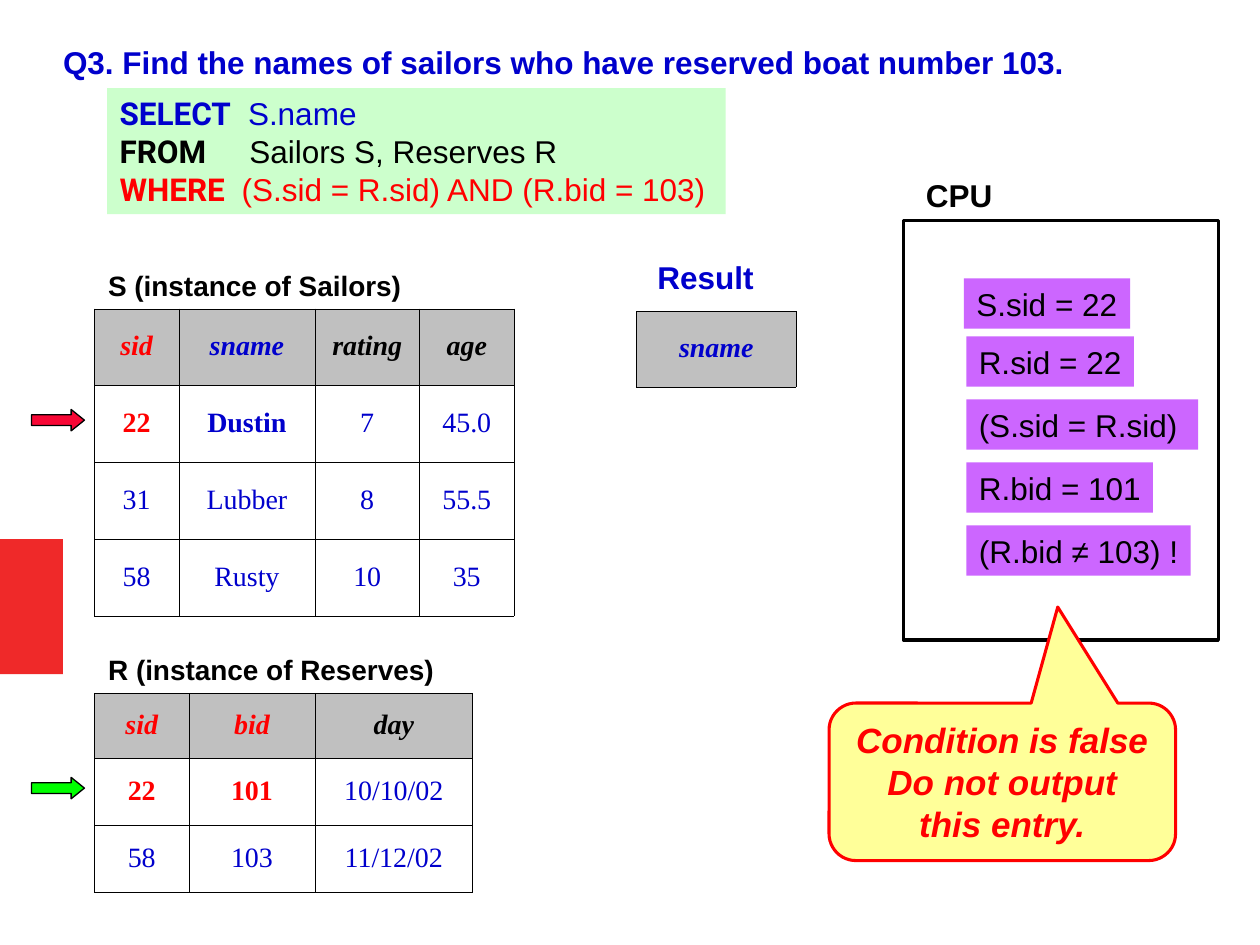
"""Build the slide that traces query Q3 over the Sailors and Reserves tables."""
from dataclasses import dataclass

from pptx import Presentation
from pptx.dml.color import RGBColor
from pptx.enum import shapes, text
from pptx.oxml import parse_xml
from pptx.oxml.ns import nsdecls
from pptx import util as u


@dataclass(frozen=True)
class Theme:
    black: str = "000000"
    blue: str = "0000CC"
    red: str = "FF0000"
    accent: str = "EF2929"
    query: str = "CCFFCC"
    header: str = "C0C0C0"
    step: str = "CC66FF"
    sailor_arrow: str = "F70735"
    reserve_arrow: str = "00FF00"
    note: str = "FFFF99"
    sans: str = "Arial"
    serif: str = "Times New Roman"
    keyword: str = "Roboto"
    small: int = 16
    normal: int = 18
    large: int = 20
    border: float = 0.23


theme = Theme()
PX = u.Inches(1) // 100
SHAPE = shapes.MSO_SHAPE
LEFT, CENTER = text.PP_ALIGN.LEFT, text.PP_ALIGN.CENTER


def write(para, words, size=theme.normal, color=theme.black, font=theme.sans,
          bold=False, italic=False, align=LEFT):
    para.alignment = align
    span = para.add_run()
    span.text = words
    span.font.size = u.Pt(size)
    span.font.name = font
    span.font.bold = bold
    span.font.italic = italic
    span.font.color.rgb = RGBColor.from_string(color)


def draw(kind, area, fill=None, line=None, weight=1):
    box = page.shapes.add_shape(kind, *(v * PX for v in area))
    box.shadow.inherit = False
    if fill:
        box.fill.solid()
        box.fill.fore_color.rgb = RGBColor.from_string(fill)
    else:
        box.fill.background()
    if line:
        box.line.color.rgb = RGBColor.from_string(line)
        box.line.width = u.Pt(weight)
    else:
        box.line.fill.background()
    box.text_frame.word_wrap = True
    return box


deck = Presentation()
deck.slide_width, deck.slide_height = 1000 * PX, 750 * PX
page = deck.slides.add_slide(deck.slide_layouts[5])

draw(SHAPE.RECTANGLE, (0, 428, 50, 107), theme.accent)

title = page.shapes.title
title.left, title.top, title.width, title.height = (v * PX for v in (40, 29, 834, 40))
title.text_frame.word_wrap = True
title.text_frame.auto_size = text.MSO_AUTO_SIZE.NONE
write(title.text_frame.paragraphs[0],
      "Q3. Find the names of sailors who have reserved boat number 103.",
      color=theme.blue, bold=True)

labels = [
    ("S (instance of Sailors)", (76, 208, 273, 37), theme.small, theme.black),
    ("R (instance of Reserves)", (76, 513, 298, 37), theme.small, theme.black),
    ("Result", (512, 200, 106, 40), theme.normal, theme.blue),
    ("CPU", (725, 135, 108, 40), theme.normal, theme.black),
]
for words, area, size, color in labels:
    box = page.shapes.add_textbox(*(v * PX for v in area))
    box.text_frame.word_wrap = True
    write(box.text_frame.paragraphs[0], words, size=size, color=color, bold=True)

query = draw(SHAPE.RECTANGLE, (85, 70, 491, 100), theme.query)
query.text_frame.margin_right = 0
clauses = [
    ("SELECT", "S.name", theme.blue, 102),
    ("FROM", "Sailors S, Reserves R", theme.black, 103),
    ("WHERE", "(S.sid = R.sid) AND (R.bid = 103)", theme.red, 97),
]
for index, (keyword, clause, color, stop) in enumerate(clauses):
    frame = query.text_frame
    para = frame.add_paragraph() if index else frame.paragraphs[0]
    write(para, keyword, color=color, font=theme.keyword, bold=True)
    write(para, "\t" + clause, color=color)
    para._p.get_or_add_pPr().append(parse_xml(
        f'<a:tabLst {nsdecls("a")}><a:tab pos="{stop * PX}" algn="l"/></a:tabLst>'))

header_colors = {"sid": theme.red, "bid": theme.red, "sname": theme.blue}
current_colors = {"22": theme.red, "101": theme.red, "Dustin": theme.blue}
tables = [
    ((75, 245), (67, 108, 83, 75), (61, 61, 61, 61),
     [("sid", "sname", "rating", "age"), ("22", "Dustin", "7", "45.0"),
      ("31", "Lubber", "8", "55.5"), ("58", "Rusty", "10", "35")]),
    ((75, 550), (75, 100, 125), (52, 53, 53),
     [("sid", "bid", "day"), ("22", "101", "10/10/02"), ("58", "103", "11/12/02")]),
    ((505, 247), (127,), (60,), [("sname",)]),
]
for (left, top), widths, heights, rows in tables:
    grid = page.shapes.add_table(len(rows), len(widths), left * PX, top * PX,
                                 sum(widths) * PX, sum(heights) * PX).table
    for column, width in zip(grid.columns, widths):
        column.width = width * PX
    for r, (row, height) in enumerate(zip(rows, heights)):
        grid.rows[r].height = height * PX
        for c, words in enumerate(row):
            cell = grid.cell(r, c)
            cell.vertical_anchor = text.MSO_ANCHOR.MIDDLE
            is_header = r == 0
            if is_header:
                color = header_colors.get(words, theme.black)
                cell.fill.solid()
                cell.fill.fore_color.rgb = RGBColor.from_string(theme.header)
            else:
                color = current_colors.get(words, theme.blue)
                cell.fill.background()
            para = cell.text_frame.paragraphs[0]
            para.line_spacing = 0.93
            write(para, words, size=theme.small, color=color, font=theme.serif,
                  bold=is_header or words in current_colors, italic=is_header,
                  align=CENTER)
            for position, side in enumerate(("lnL", "lnR", "lnT", "lnB")):
                cell._tc.get_or_add_tcPr().insert(position, parse_xml(
                    f'<a:{side} {nsdecls("a")} w="{u.Pt(theme.border)}"><a:solidFill>'
                    f'<a:srgbClr val="{theme.black}"/></a:solidFill></a:{side}>'))

steps = [
    ("S.sid = 22", (765, 221, 132, 40)),
    ("R.sid = 22", (767, 267, 133, 40)),
    ("(S.sid = R.sid)", (767, 317, 184, 40)),
    ("R.bid = 101", (767, 367, 148, 40)),
    ("(R.bid ≠ 103) !", (767, 417, 178, 40)),
]
for words, area in steps:
    step = draw(SHAPE.RECTANGLE, area, theme.step)
    step.text_frame.margin_right = 0
    write(step.text_frame.paragraphs[0], words)

draw(SHAPE.RECTANGLE, (717, 175, 250, 333), line=theme.black, weight=2)

for top, fill in ((325, theme.sailor_arrow), (617, theme.reserve_arrow)):
    arrow = draw(SHAPE.RIGHT_ARROW, (25, top, 42, 17), fill, theme.black, 0.75)
    arrow.adjustments[1] = 0.62

note = draw(SHAPE.ROUNDED_RECTANGULAR_CALLOUT, (658, 558, 275, 125),
            theme.note, theme.red, 1.75)
for index, value in enumerate((0.16, -1.11, 0.17)):
    note.adjustments[index] = value
for index, words in enumerate(("Condition is false", "Do not output", "this entry.")):
    frame = note.text_frame
    para = frame.add_paragraph() if index else frame.paragraphs[0]
    write(para, words, size=theme.large, color=theme.red, bold=True, italic=True,
          align=CENTER)

deck.save("out.pptx")
